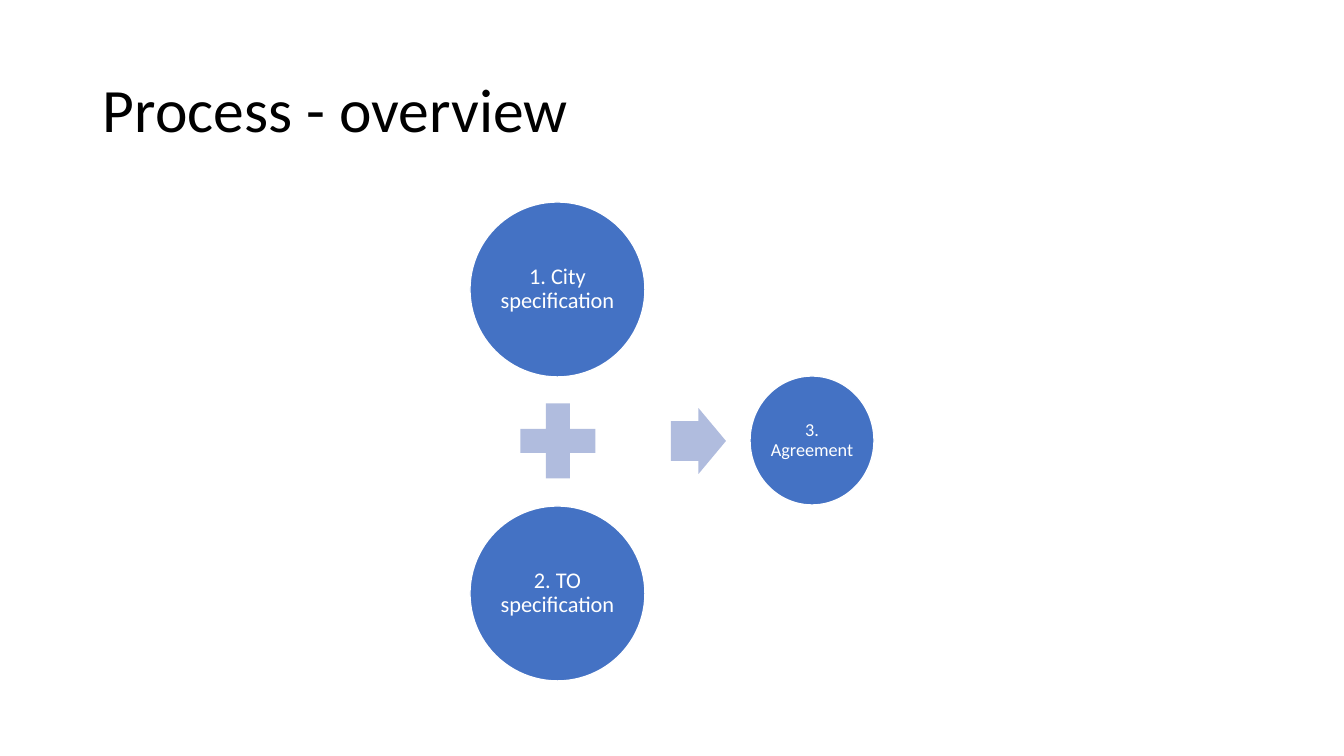
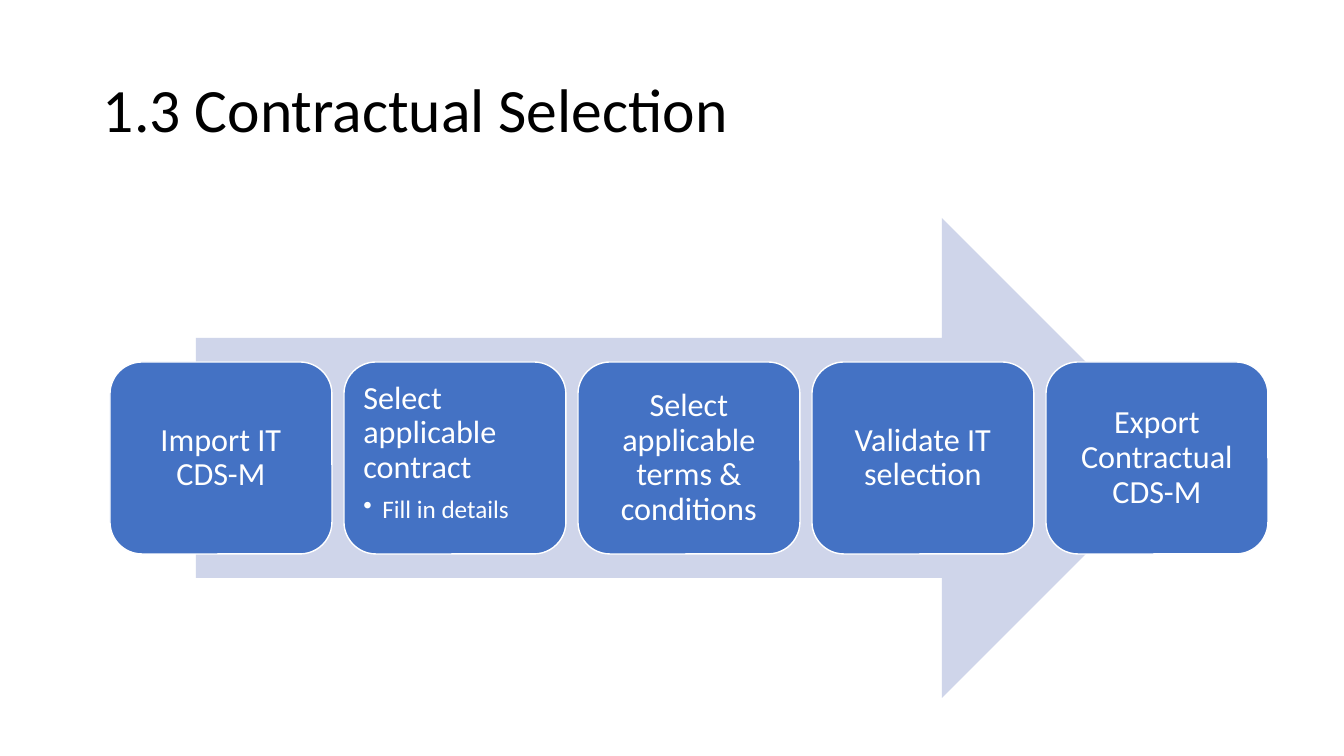
"""Build two slides: a process overview and the contractual selection steps."""
from dataclasses import dataclass

from lxml import etree
from pptx import Presentation
from pptx.dml.color import RGBColor
from pptx.enum.shapes import MSO_SHAPE
from pptx.enum.text import MSO_ANCHOR, MSO_AUTO_SIZE, PP_ALIGN
from pptx.oxml.ns import qn
from pptx.util import Pt

ELLIPSE, PLUS = MSO_SHAPE.OVAL, MSO_SHAPE.MATH_PLUS
ARROW, ROUNDED = MSO_SHAPE.RIGHT_ARROW, MSO_SHAPE.ROUNDED_RECTANGLE
TOP, MIDDLE = MSO_ANCHOR.TOP, MSO_ANCHOR.MIDDLE
LEFT, CENTER = PP_ALIGN.LEFT, PP_ALIGN.CENTER
NO_AUTOFIT = MSO_AUTO_SIZE.NONE
EMU_PER_PIXEL = 12192000 / 1344


@dataclass(frozen=True)
class Theme:
    font: str = "Calibri"
    ink: RGBColor = RGBColor(0x00, 0x00, 0x00)
    white: RGBColor = RGBColor(0xFF, 0xFF, 0xFF)
    node: RGBColor = RGBColor(0x44, 0x72, 0xC4)
    operator: RGBColor = RGBColor(0xB0, 0xBC, 0xDE)
    band: RGBColor = RGBColor(0xCF, 0xD5, 0xEA)
    title_size: int = 44
    step_size: int = 23
    detail_size: int = 18
    circle_size: int = 16
    result_size: int = 13
    line_spacing: float = 0.9


theme = Theme()


def write_text(shape, lines, color, alignment, anchor, inset):
    frame = shape.text_frame
    frame.word_wrap = True
    frame.auto_size = NO_AUTOFIT
    frame.vertical_anchor = anchor
    frame.margin_left = frame.margin_right = round(inset * EMU_PER_PIXEL)
    frame.margin_top = frame.margin_bottom = frame.margin_left
    frame.text = "\n".join(text for text, size in lines)
    for level, (paragraph, (text, size)) in enumerate(zip(frame.paragraphs, lines)):
        paragraph.alignment = alignment
        paragraph.line_spacing = theme.line_spacing
        if level:
            paragraph.space_before = Pt(8)
            properties = paragraph._p.get_or_add_pPr()
            indent = round(19 * EMU_PER_PIXEL)
            properties.set("marL", str(indent))
            properties.set("indent", str(-indent))
            etree.SubElement(properties, qn("a:buChar")).set("char", "•")
        paragraph.font.name = theme.font
        paragraph.font.size = Pt(size)
        paragraph.font.color.rgb = color


def add_figure(slide, kind, box, fill, outlined=False):
    shape = slide.shapes.add_shape(kind, *(round(length * EMU_PER_PIXEL) for length in box))
    shape.shadow.inherit = False
    shape.fill.solid()
    shape.fill.fore_color.rgb = fill
    if outlined:
        shape.line.color.rgb = theme.white
        shape.line.width = Pt(1)
    else:
        shape.line.fill.background()
    return shape


presentation = Presentation()
presentation.slide_width = round(1344 * EMU_PER_PIXEL)
presentation.slide_height = round(756 * EMU_PER_PIXEL)
title_layout = presentation.slide_layouts.get_by_name("Title Only")

slides = []
for heading in ("Process - overview", "1.3 Contractual Selection"):
    slide = presentation.slides.add_slide(title_layout)
    title = slide.shapes.title
    title.left, title.top, title.width, title.height = (
        round(length * EMU_PER_PIXEL) for length in (93, 40, 1159, 146))
    write_text(title, [(heading, theme.title_size)], theme.ink, LEFT, MIDDLE, 10)
    slides.append(slide)
overview, selection = slides

circles = (
    ("1. City specification", theme.circle_size, (470, 202, 175, 175)),
    ("2. TO specification", theme.circle_size, (470, 506, 175, 175)),
    ("3. Agreement", theme.result_size, (750, 376, 124, 129)),
)
for text, size, box in circles:
    circle = add_figure(overview, ELLIPSE, box, theme.node, outlined=True)
    write_text(circle, [(text, size)], theme.white, CENTER, MIDDLE, 1)
add_figure(overview, PLUS, (507, 390, 102, 102), theme.operator)
result_arrow = add_figure(overview, ARROW, (671, 408, 55, 66), theme.operator)
result_arrow.adjustments[0] = 0.6

add_figure(selection, ARROW, (196, 218, 986, 480), theme.band)
steps = (
    ["Import IT CDS-M"],
    ["Select applicable contract", "Fill in details"],
    ["Select applicable terms & conditions"],
    ["Validate IT selection"],
    ["Export Contractual CDS-M"],
)
step_left, step_width, step_gap = 110, 222, 12
for index, texts in enumerate(steps):
    left = step_left + index * (step_width + step_gap)
    step = add_figure(selection, ROUNDED, (left, 362, step_width, 192), theme.node, outlined=True)
    alignment, anchor = (LEFT, TOP) if len(texts) > 1 else (CENTER, MIDDLE)
    lines = list(zip(texts, (theme.step_size, theme.detail_size)))
    write_text(step, lines, theme.white, alignment, anchor, 10)

presentation.save("out.pptx")
